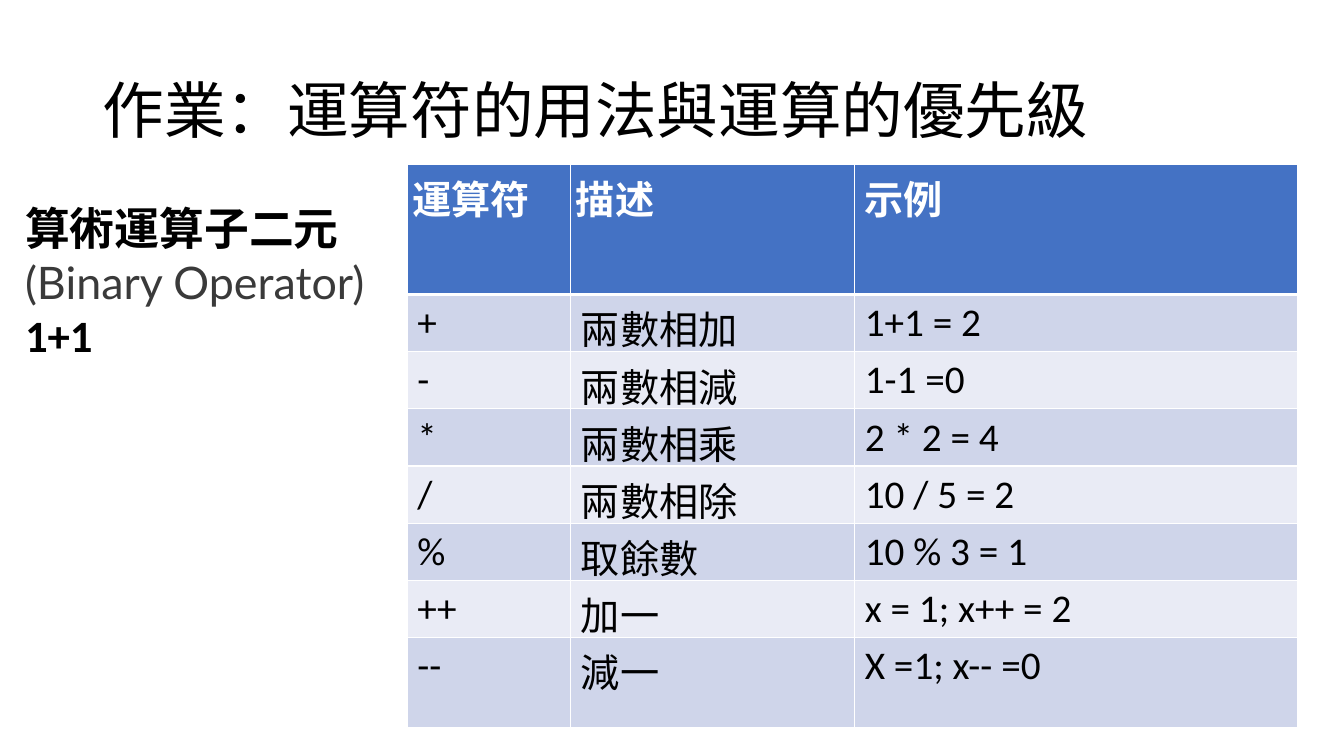
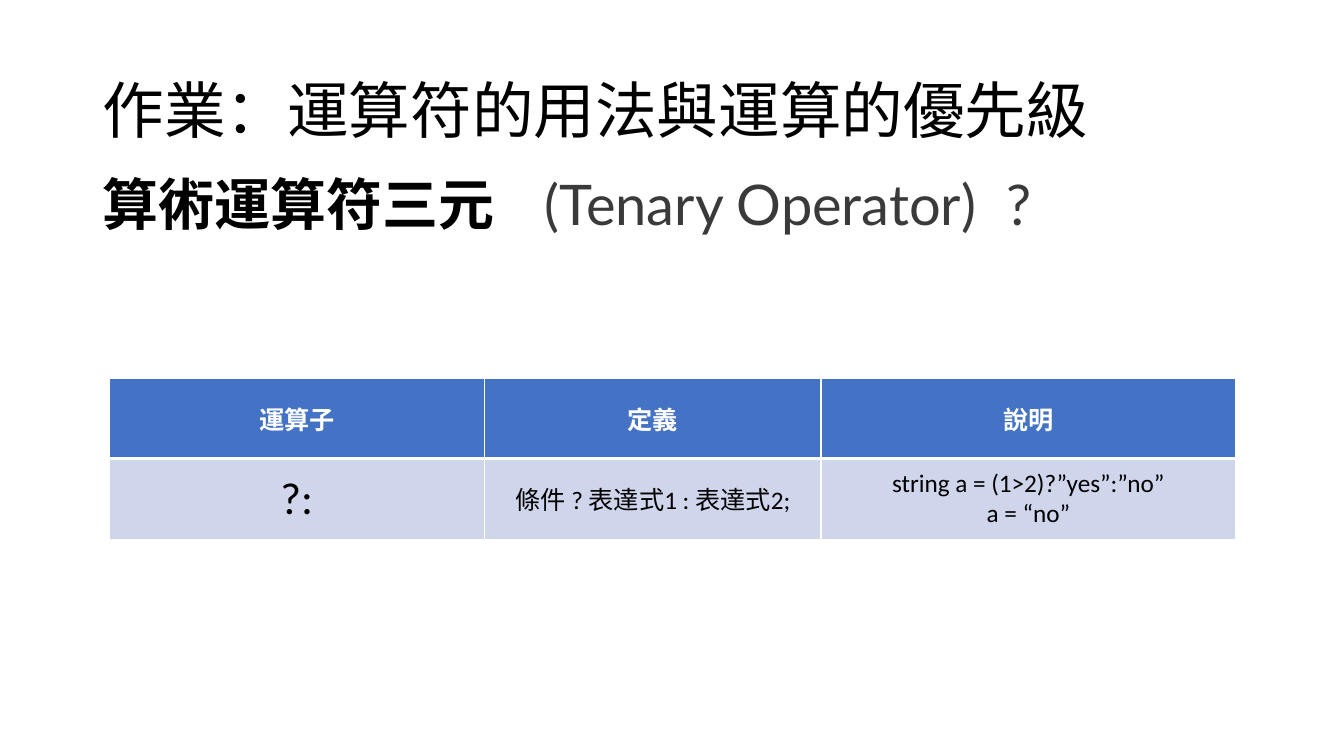
"""Build two slides on operators, each with a title, a caption and a table."""
import pptx
import pptx.dml.color
import pptx.enum.text
import pptx.oxml
import pptx.oxml.ns
import pptx.util
import lxml.etree

Pt = pptx.util.Pt
ANCHOR = pptx.enum.text.MSO_ANCHOR
ALIGN = pptx.enum.text.PP_ALIGN
BLACK, WHITE, GREY = "000000", "FFFFFF", "3A3A3A"
BLUE, BANDS = "4472C4", ("E9EBF5", "CFD5EA")
TITLE = "作業：運算符的用法與運算的優先級"


def color(code):
    """Turn a hex string into a colour."""
    return pptx.dml.color.RGBColor.from_string(code)


def write(para, text, size, font="Calibri", code=BLACK, bold=False):
    """Add one run to a paragraph."""
    run = para.add_run()
    run.text = text
    run.font.size = Pt(size)
    run.font.name = font
    run.font.bold = bold
    run.font.color.rgb = color(code)


pages = [
    {
        "box": (10.8, 139.7, 386.6, 123.8),
        "size": 32,
        "stops": [],
        "lines": [
            [("算術運算子二元", "Calibri", BLACK, True)],
            [("(Binary Operator)", "Lato", GREY, False)],
            [("1+1", "Calibri", BLACK, True)],
        ],
        "grid": (290.9, 117.4),
        "cols": [116.9, 202.8, 316.1],
        "rows": [92.9] + [37.4] * 6 + [64.1],
        "text": 28,
        "large": {},
        "fonts": ["Open Sans", "Open Sans", "Calibri"],
        "tight": 2,
        "anchor": ANCHOR.TOP,
        "align": ALIGN.LEFT,
        "cells": [
            ["運算符", "描述", "示例"],
            ["+", "兩數相加", "1+1 = 2"],
            ["-", "兩數相減", "1-1 =0"],
            ["*", "兩數相乘", "2 * 2 = 4"],
            ["/", "兩數相除", "10 / 5 = 2"],
            ["%", "取餘數", "10 % 3 = 1"],
            ["++", "加一", "x = 1; x++ = 2"],
            ["--", "減一", "X =1; x-- =0"],
        ],
    },
    {
        "box": (66.2, 117.4, 805, 55.4),
        "size": 40,
        "stops": [316, 646],
        "lines": [
            [
                ("算術運算符三元", "Calibri", BLACK, True),
                ("\t(Tenary Operator)\t?", "Lato", GREY, False),
            ],
        ],
        "grid": (77.8, 270),
        "cols": [268.4, 240.2, 296.4],
        "rows": [57.6, 57.6],
        "text": 18,
        "large": {"?:": 32},
        "fonts": ["Calibri"] * 3,
        "tight": 0,
        "anchor": ANCHOR.MIDDLE,
        "align": ALIGN.CENTER,
        "cells": [
            ["運算子", "定義", "說明"],
            ["?:", "條件 ? 表達式1 : 表達式2;", "string a = (1>2)?”yes”:”no”\na = “no”"],
        ],
    },
]

deck = pptx.Presentation()
deck.slide_width, deck.slide_height = Pt(960), Pt(540)

for page in pages:
    slide = deck.slides.add_slide(deck.slide_layouts[6])

    frame = slide.shapes.add_textbox(Pt(66.2), Pt(28.8), Pt(828), Pt(104.4)).text_frame
    frame.word_wrap = True
    frame.vertical_anchor = ANCHOR.MIDDLE
    frame.paragraphs[0].line_spacing = 0.9
    write(frame.paragraphs[0], TITLE, 44)

    frame = slide.shapes.add_textbox(*map(Pt, page["box"])).text_frame
    frame.word_wrap = True
    for i, line in enumerate(page["lines"]):
        para = frame.add_paragraph() if i else frame.paragraphs[0]
        if page["stops"]:
            tabs = lxml.etree.SubElement(
                para._p.get_or_add_pPr(), pptx.oxml.ns.qn("a:tabLst"))
            for stop in page["stops"]:
                tab = lxml.etree.SubElement(tabs, pptx.oxml.ns.qn("a:tab"))
                tab.set("pos", str(Pt(stop)))
                tab.set("algn", "l")
        for text, font, code, bold in line:
            write(para, text, page["size"], font, code, bold)

    cols, rows = page["cols"], page["rows"]
    left, top = page["grid"]
    table = slide.shapes.add_table(
        len(rows), len(cols), Pt(left), Pt(top), Pt(sum(cols)), Pt(sum(rows))).table
    for col, width in zip(table.columns, cols):
        col.width = Pt(width)
    for row, height in zip(table.rows, rows):
        row.height = Pt(height)

    for r, texts in enumerate(page["cells"]):
        head = r == 0
        for c, text in enumerate(texts):
            cell = table.cell(r, c)
            cell.vertical_anchor = page["anchor"]
            if head and c < page["tight"]:
                cell.margin_left = cell.margin_right = Pt(3.6)
                cell.margin_top = cell.margin_bottom = Pt(3.6)
            for side in ("L", "R", "T", "B"):
                thick = (head and side == "B") or (r == 1 and side == "T")
                edge = lxml.etree.SubElement(
                    cell._tc.get_or_add_tcPr(), pptx.oxml.ns.qn("a:ln" + side))
                edge.set("w", str(Pt(3 if thick else 1)))
                fill = lxml.etree.SubElement(edge, pptx.oxml.ns.qn("a:solidFill"))
                lxml.etree.SubElement(
                    fill, pptx.oxml.ns.qn("a:srgbClr")).set("val", WHITE)
            cell.fill.solid()
            cell.fill.fore_color.rgb = color(BLUE if head else BANDS[r % 2])
            for i, line in enumerate(text.split("\n")):
                frame = cell.text_frame
                para = frame.add_paragraph() if i else frame.paragraphs[0]
                para.alignment = page["align"]
                write(para, line, page["large"].get(line, page["text"]),
                      page["fonts"][c] if head else "Calibri",
                      WHITE if head else BLACK, head)

deck.save("out.pptx")
